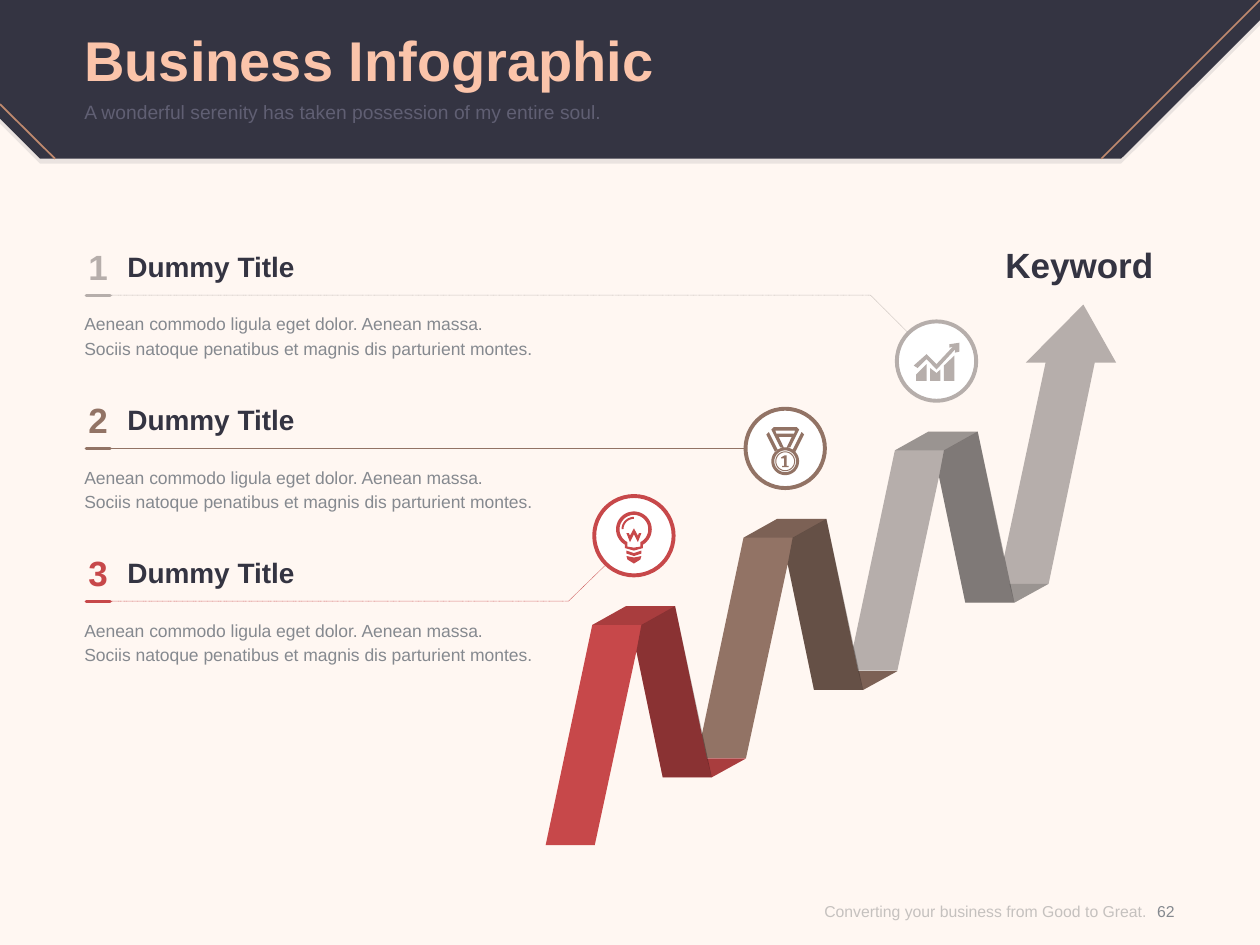
"""Build the business infographic slide with a folded, rising arrow."""
from dataclasses import dataclass
from math import cos, radians, sin

from lxml import etree
from pptx import Presentation
from pptx.dml.color import RGBColor
from pptx.enum.dml import MSO_LINE
from pptx.enum.shapes import MSO_CONNECTOR as CONNECTOR, MSO_SHAPE as SHAPE
from pptx.enum.text import MSO_ANCHOR as ANCHOR, PP_ALIGN as ALIGN
from pptx.oxml.ns import qn
from pptx.util import Cm, Pt


@dataclass(frozen=True)
class Theme:
    font: str = "Arial"
    paper: str = "FFF7F2"
    ink: str = "343442"
    peach: str = "FBC4AA"
    copper: str = "BF896E"
    subtitle: str = "605F73"
    body: str = "85898F"
    footer: str = "8C8C8C"
    white: str = "FFFFFF"
    shade: str = "000000"
    red: str = "C7484A"
    brown: str = "927365"
    grey: str = "B6AEAB"
    heading_size: float = 32
    keyword_size: float = 20
    item_size: float = 16
    subtitle_size: float = 11
    body_size: float = 10
    footer_size: float = 9


class SlideArtist:
    """Hold the theme and the current slide, and draw each kind of element."""

    def __init__(self, theme, slide):
        self.theme, self.slide = theme, slide
        slide.background.fill.solid()
        slide.background.fill.fore_color.rgb = RGBColor.from_string(theme.paper)

    def paint(self, fill, color, alpha=None):
        """Set a solid fill, with an opacity in percent if given."""
        fill.solid()
        fill.fore_color.rgb = RGBColor.from_string(color)
        if alpha is not None:
            for node in fill._xPr.iter(qn("a:srgbClr")):
                etree.SubElement(node, qn("a:alpha")).set("val", str(alpha * 1000))

    def stroke(self, line, color, width, dotted=False):
        """Style a line."""
        line.color.rgb = RGBColor.from_string(color)
        line.width = Pt(width)
        if dotted:
            line.dash_style = MSO_LINE.ROUND_DOT

    def typeset(self, holder, lines, size, color, bold=False, align=ALIGN.LEFT,
                anchor=ANCHOR.TOP, spacing=None, alpha=None):
        """Fill a text holder, one paragraph per line."""
        frame = holder.text_frame
        frame.word_wrap, frame.vertical_anchor = True, anchor
        frame.margin_left = frame.margin_right = 0
        frame.margin_top = frame.margin_bottom = 0
        for index, words in enumerate(lines):
            paragraph = frame.add_paragraph() if index else frame.paragraphs[0]
            paragraph.alignment = align
            if spacing:
                paragraph.line_spacing = Pt(spacing)
            run = paragraph.add_run()
            run.text = words
            run.font.name, run.font.size, run.font.bold = self.theme.font, Pt(size), bold
            self.paint(run.font.fill, color, alpha)

    def heading(self, words, box):
        """Place the title placeholder above what is drawn so far."""
        title = self.slide.shapes.title
        title.left, title.top, title.width, title.height = map(Cm, box)
        self.slide.shapes._spTree.append(title._element)
        self.typeset(title, [words], self.theme.heading_size, self.theme.peach,
                     bold=True, anchor=ANCHOR.MIDDLE)

    def text(self, lines, box, size, color, **style):
        """Add a text box."""
        self.typeset(self.slide.shapes.add_textbox(*map(Cm, box)), lines, size, color, **style)

    def trace(self, contours, offset=(0, 0), closed=True):
        """Build one freeform from contours in centimetres."""
        dx, dy = offset
        placed = [[(Cm(x + dx), Cm(y + dy)) for x, y in contour] for contour in contours]
        builder = self.slide.shapes.build_freeform(*placed[0][0])
        for index, (start, *rest) in enumerate(placed):
            if index:
                builder.move_to(*start)
            builder.add_line_segments(rest, close=closed)
        outline = builder.convert_to_shape()
        outline.shadow.inherit = False
        return outline

    def area(self, contours, color, offset=(0, 0), alpha=None):
        """Add a filled outline."""
        outline = self.trace(contours, offset)
        self.paint(outline.fill, color, alpha)
        outline.line.fill.background()

    def leader(self, points, color):
        """Add a thin dotted open path."""
        leader_line = self.trace([points], closed=False)
        leader_line.fill.background()
        self.stroke(leader_line.line, color, 0.25, dotted=True)

    def line(self, start, end, color, width, rounded=False):
        """Add a straight line."""
        link = self.slide.shapes.add_connector(
            CONNECTOR.STRAIGHT, *map(Cm, start), *map(Cm, end))
        self.stroke(link.line, color, width)
        if rounded:
            link.line._get_or_add_ln().set("cap", "rnd")
        etree.SubElement(link._element.spPr, qn("a:effectLst"))

    def badge(self, center, icon, color):
        """Add a white disc with a ring and an icon."""
        x, y = center
        disc = self.slide.shapes.add_shape(
            SHAPE.OVAL, Cm(x - 0.8), Cm(y - 0.8), Cm(1.6), Cm(1.6))
        disc.shadow.inherit = False
        self.paint(disc.fill, self.theme.white)
        self.stroke(disc.line, color, 2.25)
        self.area(icon, color, center)

    def ribbon(self, tail, color, offset):
        """Add a folded ribbon with its shaded faces."""
        self.area([RIBBON + tail], color, offset)
        for face, alpha in FACES:
            self.area([face], self.theme.shade, offset, alpha)


def arc(cx, cy, radius, start=0, stop=350):
    """Return points along an arc, angles in degrees."""
    angles = [radians(start + (stop - start) * i / 35) for i in range(36)]
    return [(cx + radius * cos(a), cy + radius * sin(a)) for a in angles]


def mirror(points):
    """Return the points flipped left to right."""
    return [(-x, y) for x, y in points]


RIBBON = [(15.04, 15.29), (14.35, 15.67), (13.36, 15.67), (12.83, 13.13), (11.99, 17.04),
          (11, 17.04), (11.94, 12.6), (12.62, 12.22), (13.61, 12.22)]
FOLD_TAIL = [(14.25, 15.29)]
ARROW_TAIL = [(14.14, 14.76), (14.98, 10.83), (14.58, 10.83), (15.74, 9.66),
              (16.4, 10.83), (15.97, 10.83)]
FACES = [
    ([(14.25, 15.29), (14.35, 15.67), (15.04, 15.29)], 15),
    ([(14.35, 15.67), (13.36, 15.67), (12.83, 13.13), (12.93, 12.6), (13.61, 12.22)], 30),
    ([(13.61, 12.22), (12.93, 12.6), (11.94, 12.6), (12.62, 12.22)], 15)]

STRAP = [(-0.33, -0.33), (-0.38, -0.28), (-0.2, 0.08), (-0.15, 0.03)]
MEDAL = [
    STRAP, mirror(STRAP), *(arc(0, 0.26, r) for r in (0.28, 0.22, 0.2, 0.18)),
    [(-0.23, -0.43), (0.23, -0.43), (0.28, -0.38), (0.1, -0.02), (-0.1, -0.02), (-0.28, -0.38)],
    [(-0.2, -0.36), (0.2, -0.36), (0.18, -0.3), (-0.18, -0.3)],
    [(-0.13, -0.23), (0.13, -0.23), (0.03, -0.02), (-0.03, -0.02)],
    [(0.03, 0.14), (-0.01, 0.14), (-0.08, 0.18), (-0.08, 0.2), (-0.02, 0.2), (-0.02, 0.35),
     (-0.06, 0.35), (-0.06, 0.38), (0.07, 0.38), (0.07, 0.35), (0.03, 0.35)]]
BULB = [
    arc(0, -0.13, 0.36, 120, 420) + [(0.18, 0.25), (0, 0.3), (-0.18, 0.25)],
    arc(0, -0.13, 0.29, 117, 423) + [(0.13, 0.22), (0, 0.24), (-0.13, 0.22)],
    arc(0, -0.13, 0.25, 180, 270) + arc(0, -0.13, 0.21, 270, 180),
    [(0.08, 0), (0, -0.15), (-0.08, 0), (-0.1, -0.05), (-0.15, -0.05), (-0.08, 0.13),
     (0, -0.03), (0.08, 0.13), (0.15, -0.05), (0.1, -0.05)],
    [(-0.15, 0.3), (0, 0.35), (0.15, 0.3), (0.15, 0.36), (0, 0.41), (-0.15, 0.36)],
    [(-0.15, 0.41), (0, 0.44), (0.15, 0.41), (0.13, 0.48), (0, 0.56), (-0.13, 0.48)]]
CHART = [
    [(-0.41, 0.4), (-0.2, 0.4), (-0.2, 0.06), (-0.41, 0.27)],
    [(-0.13, 0.14), (-0.13, 0.4), (0.08, 0.4), (0.08, 0.17), (0, 0.24)],
    [(0.15, 0.09), (0.15, 0.4), (0.36, 0.4), (0.36, -0.11)],
    [(0.26, -0.34), (0.46, -0.37), (0.46, -0.19), (0.37, -0.17), (0.38, -0.24), (0, 0.17),
     (-0.2, -0.04), (-0.38, 0.14), (-0.46, 0.09), (-0.2, -0.14), (0, 0.06), (0.33, -0.29),
     (0.26, -0.27)]]
HEADER = [(22.6, 3.2), (0.81, 3.2), (0, 2.39), (0, 0), (25.4, 0), (25.4, 0.41)]
DETAILS = ["Aenean commodo ligula eget dolor. Aenean massa.",
           "Sociis natoque penatibus et magnis dis parturient montes."]


def main():
    """Draw the slide and save it."""
    deck = Presentation()
    deck.slide_width, deck.slide_height = Cm(25.4), Cm(19.05)
    theme = Theme()
    artist = SlideArtist(theme, deck.slides.add_slide(deck.slide_layouts[5]))
    artist.area([HEADER], theme.ink, (0, 0.1), alpha=10)
    artist.area([HEADER], theme.ink)
    artist.line((25.4, 0), (22.2, 3.2), theme.copper, 1)
    artist.line((1.11, 3.2), (0, 2.1), theme.copper, 1)
    artist.heading("Business Infographic", (1.7, 0.36, 22, 1.65))
    artist.text(["A wonderful serenity has taken possession of my entire soul."],
                (1.7, 2.03, 22, 0.99), theme.subtitle_size, theme.subtitle)
    artist.text(["Converting your business from Good to Great."], (15.34, 17.68, 7.77, 1.37),
                theme.footer_size, theme.footer, align=ALIGN.RIGHT, anchor=ANCHOR.MIDDLE, alpha=50)
    artist.text(["62"], (22.91, 17.68, 1.19, 1.37), theme.footer_size, theme.body,
                align=ALIGN.CENTER, anchor=ANCHOR.MIDDLE)
    artist.text(["Keyword"], (19.79, 4.9, 3.94, 0.86), theme.keyword_size, theme.ink,
                bold=True, align=ALIGN.CENTER)

    items = [(theme.grey, CHART, ARROW_TAIL, [(17.55, 5.95), (18.31, 6.71)]),
             (theme.brown, MEDAL, FOLD_TAIL, [(15.04, 9.04)]),
             (theme.red, BULB, FOLD_TAIL, [(11.46, 12.12), (12.22, 11.38)])]
    for index, (color, icon, tail, bends) in enumerate(items):
        top, step = 4.95 + 3.085 * index, 2 - index
        rule = top + 1.01
        artist.text([str(index + 1)], (1.7, top, 0.56, 0.86), theme.keyword_size, color,
                    bold=True, align=ALIGN.CENTER)
        artist.text(["Dummy Title"], (2.57, top + 0.08, 8, 0.69), theme.item_size,
                    theme.ink, bold=True)
        artist.text(DETAILS, (1.7, top + 1.3, 9.86, 0.97), theme.body_size, theme.body, spacing=14)
        artist.line((2.22, rule), (1.74, rule), color, 2, rounded=True)
        artist.leader([(2.16, bends[0][1]), *bends], color)
        artist.badge((12.78 + 3.05 * step, 10.8 - 1.76 * step), icon, color)
        artist.ribbon(tail, color, (3.05 * step, -1.76 * step))
    deck.save("out.pptx")


if __name__ == "__main__":
    main()
